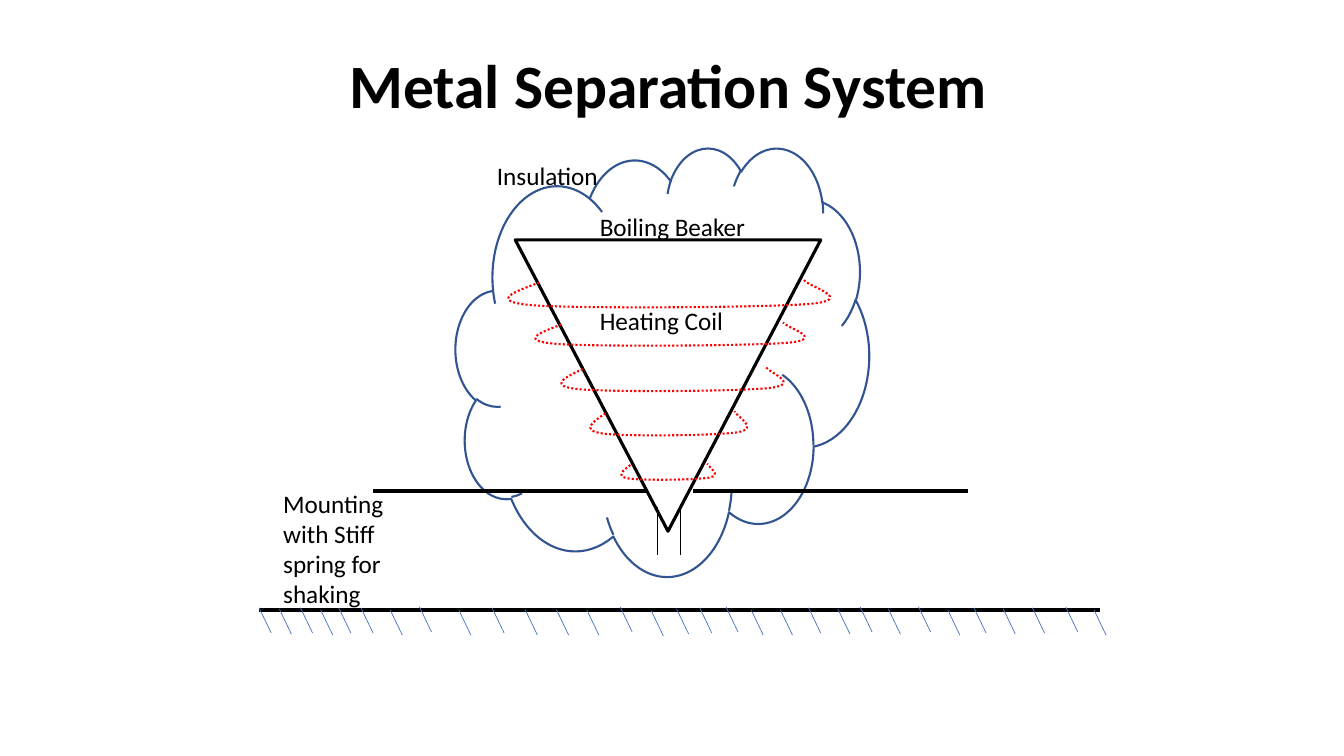
from pptx import Presentation, util as u
from pptx.dml import color
from pptx.enum import dml, shapes, text
from pptx.oxml import ns
from lxml import etree

TITLE = ("Metal Separation System", (0.88, 0.15, 11.5, 1.45))
LABELS = [
    ("Boiling Beaker", (5.85, 2.05, 1.81, 0.4)),
    ("Heating Coil", (5.85, 2.98, 1.81, 0.4)),
    ("Insulation", (4.83, 1.54, 1.21, 0.4)),
    ("Mounting with Stiff spring for shaking", (2.71, 4.79, 1.21, 1.31)),
]
BEAKER = (5.11, 2.38, 3.03, 2.89)
CLOUD = (4.52, 1.46, 4.1, 4.25)
COILS = [
    (5.3, 3.2, 2.68, 0.23),
    (5.56, 3.64, 2.21, 0.24),
    (5.85, 4.08, 1.56, 0.24),
    (6.16, 4.6, 0.93, 0.16),
    (5.03, 2.78, 3.2, 0.27),
]
START = (0.1, 0.09)
BENDS = [
    [(0.02, 0.43), (-0.06, 0.79), (0.08, 0.92)],
    [(0.22, 1.05), (0.8, 1.01), (0.94, 0.87)],
    [(1.08, 0.71), (0.94, 0.26), (0.92, 0)],
]
DRAIN = [(6.52, 5.03, 6.52, 5.51), (6.75, 5.03, 6.75, 5.51)]
BARS = [
    (3.7, 4.87, 6.43, 4.87),
    (6.87, 4.87, 9.6, 4.87),
    (2.57, 6.05, 10.91, 6.05),
]
HATCH = {
    6.02: [4.16, 6.15, 7.2, 8.53, 9.11, 10.57],
    6.03: [2.57, 2.98, 3.36, 3.58, 4.88, 6.94, 8.02, 9.66, 10.24],
    6.04: [2.77, 6.71, 8.31, 8.81, 9.95],
    6.05: [3.18, 3.87, 4.55, 5.21, 5.52, 5.82, 7.45, 7.74, 9.4, 10.85],
    6.06: [6.46],
}
SLANT = (0.12, 0.25)
THEME = {
    "font": "Calibri", "title": 44, "label": 18, "ink": "000000",
    "coil": "FF0000", "cloud": "325491", "hatch": "4472C4",
}


def style(obj, vals):
    for name, val in vals.items():
        setattr(obj, name, val)


def box(dims):
    return [u.Inches(v) for v in dims]


def stroke(line, tone, width):
    line.color.rgb = color.RGBColor.from_string(THEME[tone])
    line.width = u.Pt(width)


def write(shape, words, size, bold, align, spacing):
    frame = shape.text_frame
    frame.text = words
    frame.word_wrap = True
    para = frame.paragraphs[0]
    style(para, {"alignment": align, "line_spacing": spacing})
    font = para.runs[0].font
    style(font, {"name": THEME["font"], "size": u.Pt(THEME[size]), "bold": bold})
    font.color.rgb = color.RGBColor.from_string(THEME["ink"])
    return frame


def rule(slide, ends, tone, width):
    line = slide.shapes.add_connector(shapes.MSO_CONNECTOR.STRAIGHT, *box(ends))
    stroke(line.line, tone, width)
    props = line._element.find(ns.qn("p:spPr"))
    etree.SubElement(props, ns.qn("a:effectLst"))


def outline(shape, tone, width):
    shape.shadow.inherit = False
    shape.fill.background()
    stroke(shape.line, tone, width)


def trace(route, kind, spots, wide, high):
    step = etree.SubElement(route, ns.qn(kind))
    for x, y in spots:
        spot = etree.SubElement(step, ns.qn("a:pt"))
        spot.set("x", str(round(x * wide)))
        spot.set("y", str(round(y * high)))


def coil(slide, dims):
    left, top, wide, high = box(dims)
    form = slide.shapes.build_freeform(left, top)
    form.add_line_segments([(left + wide, top + high)], close=False)
    shape = form.convert_to_shape()
    route = shape._element.find(".//" + ns.qn("a:path"))
    for part in list(route):
        route.remove(part)
    trace(route, "a:moveTo", [START], wide, high)
    for spots in BENDS:
        trace(route, "a:cubicBezTo", spots, wide, high)
    outline(shape, "coil", 1.5)
    shape.line.dash_style = dml.MSO_LINE.ROUND_DOT


def main():
    deck = Presentation()
    style(deck, {"slide_width": u.Inches(13.33), "slide_height": u.Inches(7.5)})
    slide = deck.slides.add_slide(deck.slide_layouts[5])
    words, dims = TITLE
    title = slide.shapes.title
    style(title, dict(zip(("left", "top", "width", "height"), box(dims))))
    frame = write(title, words, "title", True, text.PP_ALIGN.CENTER, 0.9)
    frame.vertical_anchor = text.MSO_ANCHOR.MIDDLE

    kinds = shapes.MSO_SHAPE
    beaker = slide.shapes.add_shape(kinds.ISOSCELES_TRIANGLE, *box(BEAKER))
    beaker.rotation = 180
    outline(beaker, "ink", 2.25)
    for ends in DRAIN:
        rule(slide, ends, "ink", 1)
    for dims in COILS:
        coil(slide, dims)
    cloud = slide.shapes.add_shape(kinds.CLOUD, *box(CLOUD))
    outline(cloud, "cloud", 1.5)
    for ends in BARS:
        rule(slide, ends, "ink", 3)
    for y, row in HATCH.items():
        for x in row:
            rule(slide, (x, y, x + SLANT[0], y + SLANT[1]), "hatch", 0.5)

    for words, dims in LABELS:
        label = slide.shapes.add_textbox(*box(dims))
        frame = write(label, words, "label", False, text.PP_ALIGN.LEFT, 1.0)
        frame.auto_size = text.MSO_AUTO_SIZE.SHAPE_TO_FIT_TEXT
    deck.save("out.pptx")


if __name__ == "__main__":
    main()
